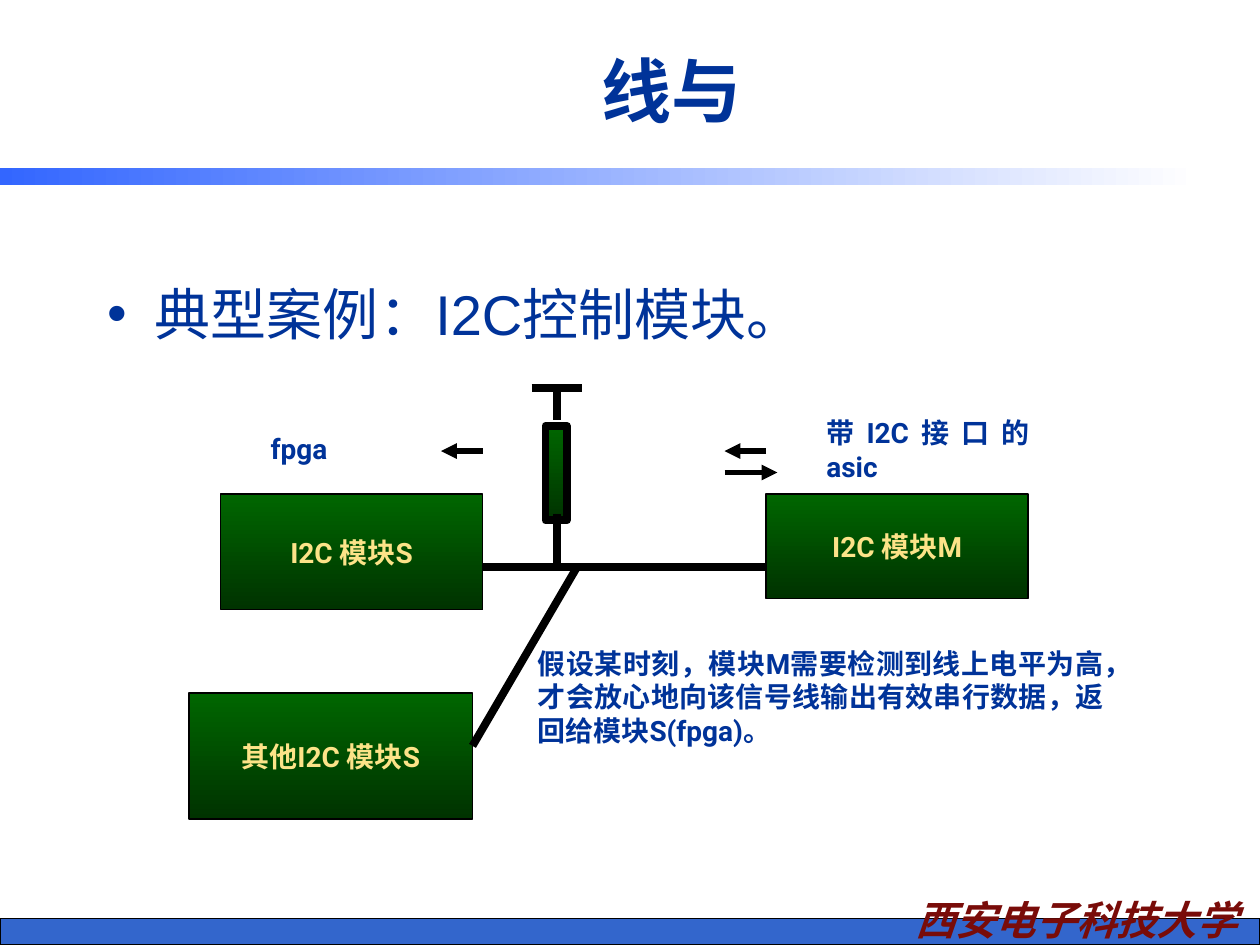
import pptx
import pptx.dml.color
import pptx.enum.shapes
import pptx.enum.text
import pptx.oxml
import pptx.oxml.ns
import pptx.util
from pptx.util import Inches

ALIGN = pptx.enum.text.PP_ALIGN
ANCHOR = pptx.enum.text.MSO_ANCHOR
AUTO_SIZE = pptx.enum.text.MSO_AUTO_SIZE
RECTANGLE = pptx.enum.shapes.MSO_SHAPE.RECTANGLE
STRAIGHT = pptx.enum.shapes.MSO_CONNECTOR.STRAIGHT

BLUE, BLACK, YELLOW = "003399", "000000", "FCE388"
GREENS = ("006600", "003300")
CHINESE_FONT = "Noto Sans CJK SC"


def colour(value):
    return pptx.dml.color.RGBColor.from_string(value)


def add_element(parent, tag, **attributes):
    element = pptx.oxml.parse_xml(f"<{tag} {pptx.oxml.ns.nsdecls('a')}/>")
    for name, value in attributes.items():
        element.set(name, value)
    parent.append(element)


def place(shape, box):
    shape.left, shape.top, shape.width, shape.height = map(Inches, box)


def write(shape, text, size, font="Roboto", color=BLUE, bold=True, italic=False,
          align=ALIGN.CENTER, anchor=ANCHOR.MIDDLE, wrap=True):
    frame = shape.text_frame
    frame.word_wrap = wrap
    frame.auto_size = AUTO_SIZE.NONE
    frame.vertical_anchor = anchor
    paragraph = frame.paragraphs[0]
    paragraph.alignment = align
    paragraph.space_before = pptx.util.Pt(0)
    run = paragraph.add_run()
    run.text = text
    run.font.size = pptx.util.Pt(size)
    run.font.name = font
    run.font.bold = bold
    run.font.italic = italic
    run.font.color.rgb = colour(color)
    add_element(run.font._element, "a:ea", typeface=CHINESE_FONT)
    return paragraph


def add_label(slide, box, text, size=16, **style):
    write(slide.shapes.add_textbox(*map(Inches, box)), text, size, **style)


def add_block(shapes, box, fills, angle=270, line_width=0.75):
    """Rectangle with a plain or two-colour fill; a width of 0 means no outline."""
    shape = shapes.add_shape(RECTANGLE, *map(Inches, box))
    shape.shadow.inherit = False
    if len(fills) == 1:
        shape.fill.solid()
        shape.fill.fore_color.rgb = colour(fills[0])
    else:
        shape.fill.gradient()
        shape.fill.gradient_angle = angle
        for stop, value in zip(shape.fill.gradient_stops, fills):
            stop.color.rgb = colour(value)
    if line_width:
        shape.line.color.rgb = colour(BLACK)
        shape.line.width = pptx.util.Pt(line_width)
    else:
        shape.line.fill.background()
    return shape


def add_line(shapes, start, end, width=4.5, arrow=False):
    line = shapes.add_connector(STRAIGHT, *map(Inches, (*start, *end)))
    line.line.color.rgb = colour(BLACK)
    line.line.width = pptx.util.Pt(width)
    if arrow:
        add_element(line.line._get_or_add_ln(), "a:tailEnd", type="triangle")
    add_element(line._element.spPr, "a:effectLst")


def add_decoration(slide, width, height):
    # Footer bar with the university name, and the stripe under the title
    add_block(slide.shapes, (0, height - 0.21, width, 0.21), ("3366CC",))
    add_label(slide, (width - 3.03, height - 0.45, 3.15, 0.49), "西安电子科技大学", 23,
              font=CHINESE_FONT, color="790C09", italic=True)
    add_block(slide.shapes, (0, 1.33, 9.51, 0.14), ("3366FF", "FFFFFF"),
              angle=0, line_width=0)


def add_title(slide, box):
    title = slide.shapes.title
    place(title, box)
    write(title, "线与", 40, font="Arial")


def add_body(slide, box):
    body = slide.placeholders[1]
    place(body, box)
    paragraph = write(body, "典型案例：I2C控制模块。", 32, font="Arial", bold=False,
                      align=ALIGN.LEFT, anchor=ANCHOR.TOP)
    properties = paragraph._element.get_or_add_pPr()
    properties.set("marL", str(Inches(0.38)))
    properties.set("indent", str(Inches(-0.38)))
    add_element(properties, "a:buChar", char="•")


def add_pull_up_resistor(slide, box):
    left, top, width, height = box
    center = left + width / 2
    shapes = slide.shapes.add_group_shape().shapes
    add_block(shapes, (center - 0.09, top + 0.3, 0.17, 0.75), GREENS, line_width=4.5)
    add_line(shapes, (center, top + 1), (center, top + height))
    add_line(shapes, (center, top + 0.25), (center, top))
    add_line(shapes, (left, top), (left + width, top))


def add_diagram(slide, box):
    left, top, width, height = box
    bus = top + 1.42
    right_module = left + width - 2.08

    # Modules
    for name, module_box in (
        ("I2C 模块S", (left + 0.25, top + 0.84, 2.08, 0.92)),
        ("I2C 模块M", (right_module, top + 0.84, 2.08, 0.83)),
        ("其他I2C 模块S", (left, top + height - 1, 2.25, 1)),
    ):
        module = add_block(slide.shapes, module_box, GREENS)
        write(module, name, 16, color=YELLOW, wrap=False)

    # Bus, branch to the other module, and pull-up
    add_line(slide.shapes, (left + 2.33, bus), (right_module, bus))
    add_line(slide.shapes, (left + 3.08, bus), (left + 2.25, top + 2.84))
    add_pull_up_resistor(slide, (left + 2.72, top, 0.4, 1.42))

    # Signal directions
    for start, end, offset in ((4.25, 4.67, 0.67), (4.58, 4.25, 0.5), (2.33, 2, 0.5)):
        add_line(slide.shapes, (left + start, top + offset),
                 (left + end, top + offset), width=3, arrow=True)

    # Labels and explanation
    justified = {"align": ALIGN.JUSTIFY, "anchor": ANCHOR.TOP}
    add_label(slide, (left + 0.55, top + 0.3, 0.7, 0.37), "fpga", wrap=False, **justified)
    add_label(slide, (left + 4.96, top + 0.17, 1.81, 0.64), "带I2C接口的asic", **justified)
    add_label(slide, (left + 2.67, top + 2, 4.69, 0.9),
              "假设某时刻，模块M需要检测到线上电平为高，才会放心地向该信号线输出"
              "有效串行数据，返回给模块S(fpga)。", **justified)


def main():
    presentation = pptx.Presentation()
    presentation.slide_width, presentation.slide_height = Inches(10), Inches(7.5)
    slide = presentation.slides.add_slide(presentation.slide_layouts[1])
    add_decoration(slide, 10, 7.5)
    add_title(slide, (1.33, 0.17, 8, 1.08))
    add_body(slide, (0.75, 2.17, 8.58, 0.67))
    add_diagram(slide, (1.5, 3.08, 6.66, 3.42))
    presentation.save("out.pptx")


if __name__ == "__main__":
    main()
